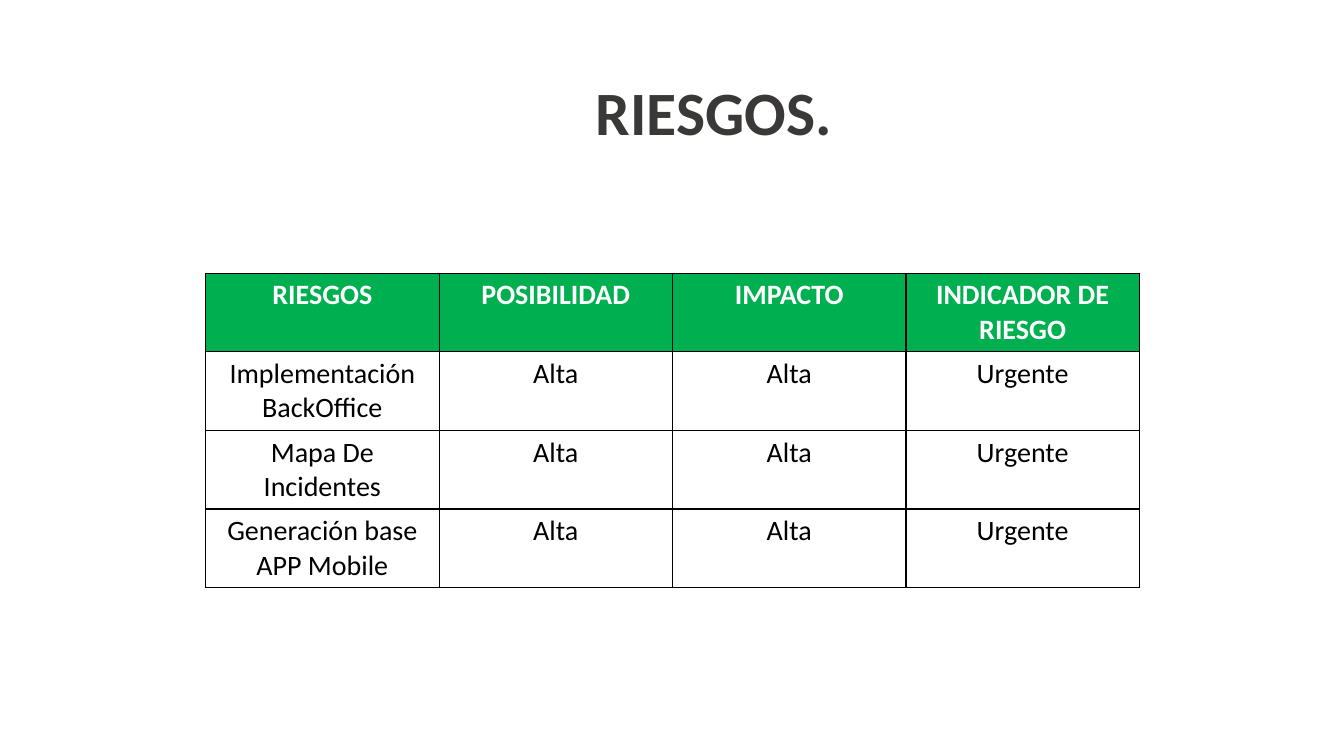
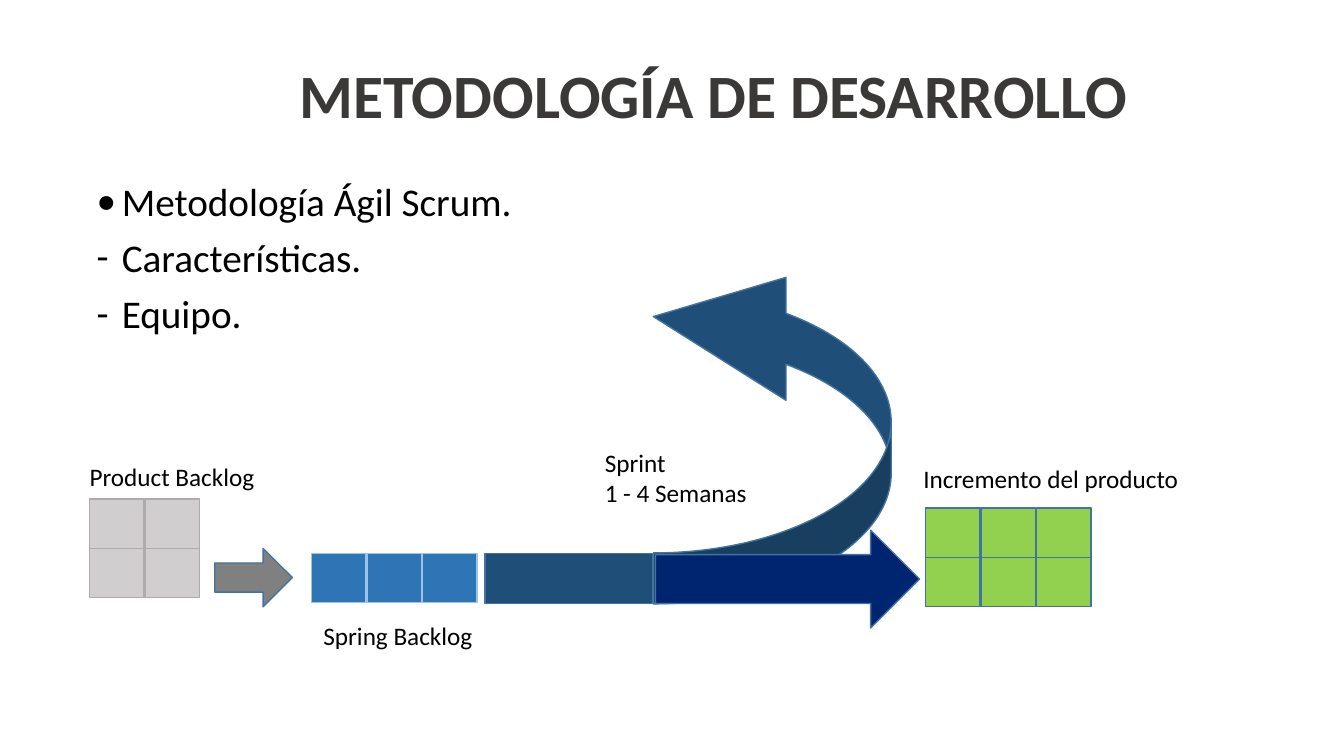
"""Build two slides: a risk table and a Scrum process diagram."""
from dataclasses import dataclass

from lxml import etree
from pptx import Presentation
from pptx.dml.color import RGBColor
from pptx.enum.shapes import MSO_SHAPE
from pptx.enum.text import MSO_ANCHOR, PP_ALIGN
from pptx.oxml.ns import qn
from pptx.util import Inches, Pt

FONT = "Calibri"
BLACK = RGBColor(0x00, 0x00, 0x00)
WHITE = RGBColor(0xFF, 0xFF, 0xFF)
CHARCOAL = RGBColor(0x3B, 0x38, 0x38)
GREEN = RGBColor(0x00, 0xB0, 0x50)
LIME = RGBColor(0x92, 0xD0, 0x50)
SILVER = RGBColor(0xD0, 0xCE, 0xCE)
SILVER_EDGE = RGBColor(0xAF, 0xAB, 0xAB)
GRAY = RGBColor(0x80, 0x80, 0x80)
BLUE = RGBColor(0x2E, 0x75, 0xB6)
BLUE_EDGE = RGBColor(0x9D, 0xC3, 0xE6)
DARK_BLUE = RGBColor(0x1F, 0x4E, 0x79)
NAVY = RGBColor(0x00, 0x25, 0x70)
STEEL = RGBColor(0x43, 0x73, 0x9E)

BLOCK_W, BLOCK_H = 0.54, 0.49
BLOCK_STEP = 0.55


@dataclass
class Block:
    left: float
    top: float
    width: float
    height: float
    fill: RGBColor
    line: RGBColor = STEEL
    kind: MSO_SHAPE = MSO_SHAPE.RECTANGLE
    rotation: float = 0
    adjustments: tuple[float, ...] = ()


@dataclass
class Grid:
    left: float
    top: float
    cols: int
    rows: int
    fill: RGBColor
    line: RGBColor


@dataclass
class Label:
    left: float
    top: float
    width: float
    height: float
    text: str


RISKS = [
    ("RIESGOS", "POSIBILIDAD", "IMPACTO", "INDICADOR DE RIESGO"),
    ("Implementación BackOffice", "Alta", "Alta", "Urgente"),
    ("Mapa De Incidentes", "Alta", "Alta", "Urgente"),
    ("Generación base APP Mobile", "Alta", "Alta", "Urgente"),
]
BULLETS = [
    ("•", "Metodología Ágil Scrum."),
    ("-", "Características."),
    ("-", "Equipo."),
]
GRIDS = [
    Grid(0.89, 4.95, 2, 2, SILVER, SILVER_EDGE),
    Grid(3.09, 5.49, 3, 1, BLUE, BLUE_EDGE),
    Grid(9.18, 5.04, 3, 2, LIME, STEEL),
]
FLOW = [
    Block(2.13, 5.44, 0.77, 0.58, GRAY, kind=MSO_SHAPE.RIGHT_ARROW),
    Block(4.81, 5.49, 1.66, 0.5, DARK_BLUE),
    Block(5.93, 3.08, 3.46, 2.36, DARK_BLUE, kind=MSO_SHAPE.CURVED_UP_ARROW,
          rotation=270, adjustments=(0.214, 0.517, 0.558)),
    Block(6.5, 5.26, 2.62, 0.97, NAVY, kind=MSO_SHAPE.RIGHT_ARROW),
]
LABELS = [
    Label(0.79, 4.53, 2, 0.4, "Product Backlog"),
    Label(3.11, 6.1, 2, 0.4, "Spring Backlog"),
    Label(5.9, 4.39, 2, 0.71, "Sprint\n1 - 4 Semanas"),
    Label(9.06, 4.55, 3, 0.4, "Incremento del producto"),
]


def format_text(tf, size: float, color: RGBColor, bold: bool = False,
                align: PP_ALIGN = PP_ALIGN.LEFT) -> None:
    """Apply one style to every paragraph and run."""
    for p in tf.paragraphs:
        p.alignment = align
        for r in p.runs:
            r.font.name = FONT
            r.font.size = Pt(size)
            r.font.bold = bold
            r.font.color.rgb = color


def add_text(slide, label: Label):
    """Add a wrapping text box and return its text frame."""
    sp = slide.shapes.add_textbox(Inches(label.left), Inches(label.top),
                                  Inches(label.width), Inches(label.height))
    tf = sp.text_frame
    tf.word_wrap = True
    tf.text = label.text
    return tf


def add_title(slide, text: str, top: float) -> None:
    """Add the shared bold centred title."""
    tf = add_text(slide, Label(2.5, top, 9.16, 1.03, text))
    tf.vertical_anchor = MSO_ANCHOR.BOTTOM
    tf.paragraphs[0].line_spacing = 0.9
    format_text(tf, 44, CHARCOAL, True, PP_ALIGN.CENTER)


def add_borders(cell) -> None:
    """Draw a thin black line on all four sides of a cell."""
    tc_pr = cell._tc.get_or_add_tcPr()
    for side in ("lnL", "lnR", "lnT", "lnB"):
        ln = etree.SubElement(tc_pr, qn(f"a:{side}"), w=str(Pt(1)))
        fill = etree.SubElement(ln, qn("a:solidFill"))
        etree.SubElement(fill, qn("a:srgbClr"), val=str(BLACK))


def add_risk_table(slide) -> None:
    """Add the risk table with a green header row."""
    rows, cols = len(RISKS), len(RISKS[0])
    frame = slide.shapes.add_table(rows, cols, Inches(2.04), Inches(2.71),
                                   Inches(9.26), Inches(0.78 * rows))
    table = frame.table
    table.horz_banding = False
    for i, values in enumerate(RISKS):
        header = i == 0
        for j, value in enumerate(values):
            cell = table.cell(i, j)
            cell.text_frame.text = value
            format_text(cell.text_frame, 20, WHITE if header else BLACK,
                        header, PP_ALIGN.CENTER)
            add_borders(cell)
            if header:
                cell.fill.solid()
                cell.fill.fore_color.rgb = GREEN
            else:
                cell.fill.background()


def add_bullets(slide) -> None:
    """Add the bulleted list."""
    text = "\n".join(item for _, item in BULLETS)
    tf = add_text(slide, Label(0.86, 1.76, 11.41, 1.8, text))
    for i, (p, (mark, _)) in enumerate(zip(tf.paragraphs, BULLETS)):
        p_pr = p._p.get_or_add_pPr()
        p_pr.set("marL", str(Inches(0.25)))
        p_pr.set("indent", str(-Inches(0.25)))
        etree.SubElement(p_pr, qn("a:buFont"), typeface=FONT)
        etree.SubElement(p_pr, qn("a:buChar"), char=mark)
        p.line_spacing = 0.9
        p.space_before = Pt(10 if i else 0)
    format_text(tf, 28, BLACK)


def add_block(slide, block: Block) -> None:
    """Add one filled and outlined preset shape."""
    sp = slide.shapes.add_shape(block.kind, Inches(block.left), Inches(block.top),
                                Inches(block.width), Inches(block.height))
    sp.shadow.inherit = False
    sp.rotation = block.rotation
    for i, value in enumerate(block.adjustments):
        sp.adjustments[i] = value
    sp.fill.solid()
    sp.fill.fore_color.rgb = block.fill
    sp.line.color.rgb = block.line
    sp.line.width = Pt(1)


def add_grid(slide, grid: Grid) -> None:
    """Add a grid of equal backlog blocks."""
    for row in range(grid.rows):
        for col in range(grid.cols):
            add_block(slide, Block(grid.left + col * BLOCK_STEP,
                                   grid.top + row * BLOCK_H,
                                   BLOCK_W, BLOCK_H, grid.fill, grid.line))


def add_slide(prs, title: str, top: float):
    """Add a blank slide with its title."""
    s = prs.slides.add_slide(prs.slide_layouts[6])
    add_title(s, title, top)
    return s


def main() -> None:
    """Build and save the presentation."""
    prs = Presentation()
    prs.slide_width = Inches(13.33)
    prs.slide_height = Inches(7.5)

    s = add_slide(prs, "RIESGOS.", 0.5)
    add_risk_table(s)

    s = add_slide(prs, "METODOLOGÍA DE DESARROLLO", 0.33)
    add_bullets(s)
    for grid in GRIDS:
        add_grid(s, grid)
    for block in FLOW:
        add_block(s, block)
    for label in LABELS:
        format_text(add_text(s, label), 18, BLACK)

    prs.save("out.pptx")


if __name__ == "__main__":
    main()
